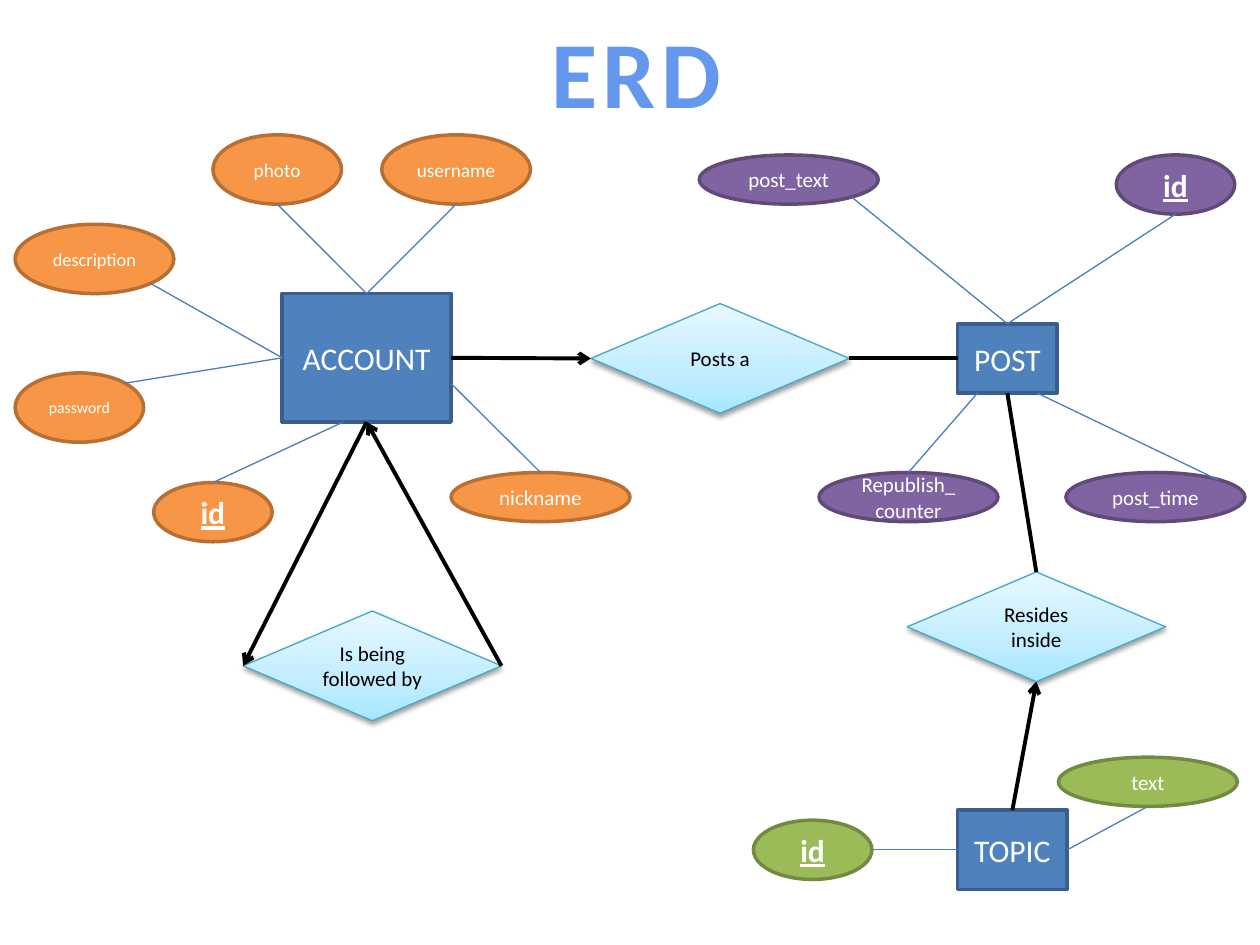
"""Build an entity relationship diagram of accounts, posts and topics."""
from pptx import Presentation
from pptx.dml.color import RGBColor
from pptx.enum.shapes import MSO_CONNECTOR, MSO_SHAPE
from pptx.enum.text import MSO_ANCHOR, PP_ALIGN
from pptx.oxml import parse_xml
from pptx.oxml.ns import nsdecls, qn
from pptx.util import Inches, Pt

THEME = {
    "font": "Calibri",
    "title": ("6398ED", 54),
    "link": ("4B7EBC", 0.75),
    "flow": ("000000", 2.25),
    "gradient": ((0, "A7E6FF"), (35, "C1EDFF"), (100, "E7F8FF")),
    "entity": (MSO_SHAPE.RECTANGLE, "4F81BD", "3A5F8C", 2, "FFFFFF"),
    "account": (MSO_SHAPE.OVAL, "F79646", "B76F34", 2, "FFFFFF"),
    "post": (MSO_SHAPE.OVAL, "8064A2", "5F4A78", 2, "FFFFFF"),
    "topic": (MSO_SHAPE.OVAL, "9BBB59", "738A42", 2, "FFFFFF"),
    "relation": (MSO_SHAPE.FLOWCHART_DECISION, None, "46AAC5", 0.75, "000000"),
}
KEY_SIZE, WIDE_SIZE, RELATION_SIZE = (0.94, 0.47), (1.42, 0.39), (2.05, 0.87)

NODES = [
    ("ACCOUNT", "entity", (2.24, 2.33), (1.34, 1.02), 18),
    ("POST", "entity", (7.6, 2.57), (0.79, 0.55), 18),
    ("TOPIC", "entity", (7.6, 6.43), (0.87, 0.63), 18),
    ("nickname", "account", (3.58, 3.75), WIDE_SIZE, 12),
    ("password", "account", (0.12, 2.96), (1.02, 0.55), 9),
    ("username", "account", (3.03, 1.07), (1.18, 0.55), 11),
    ("photo", "account", (1.69, 1.07), (1.02, 0.55), 11),
    ("description", "account", (0.12, 1.78), (1.26, 0.55), 10.5),
    ("id", "account", (1.22, 3.83), KEY_SIZE, 18),
    ("id", "post", (8.86, 1.23), KEY_SIZE, 18),
    ("post_text", "post", (5.55, 1.23), WIDE_SIZE, 12),
    ("post_time", "post", (8.46, 3.75), WIDE_SIZE, 12),
    ("Republish_counter", "post", (6.5, 3.75), WIDE_SIZE, 12),
    ("id", "topic", (5.98, 6.51), KEY_SIZE, 18),
    ("text", "topic", (8.4, 6.01), WIDE_SIZE, 12),
    ("Is being followed by", "relation", (1.93, 4.85), RELATION_SIZE, 12),
    ("Posts a", "relation", (4.69, 2.41), RELATION_SIZE, 12),
    ("Resides inside", "relation", (7.2, 4.54), RELATION_SIZE, 12),
]

TOP, LEFT, BOTTOM, RIGHT = SIDES = [(0.5, 0), (0, 0.5), (0.5, 1), (1, 0.5)]
UPPER_RIGHT, LOWER_RIGHT = (0.85, 0.15), (0.85, 0.85)
LINKS = [
    ("photo", "account", BOTTOM, "ACCOUNT", TOP),
    ("username", "account", BOTTOM, "ACCOUNT", TOP),
    ("description", "account", LOWER_RIGHT, "ACCOUNT", LEFT),
    ("password", "account", UPPER_RIGHT, "ACCOUNT", LEFT),
    ("id", "account", TOP, "ACCOUNT", (0.36, 1)),
    ("nickname", "account", TOP, "ACCOUNT", (1, 0.7)),
    ("post_text", "post", LOWER_RIGHT, "POST", TOP),
    ("id", "post", BOTTOM, "POST", TOP),
    ("post_time", "post", UPPER_RIGHT, "POST", (0.8, 1)),
    ("Republish_counter", "post", TOP, "POST", (0.2, 1)),
    ("id", "topic", RIGHT, "TOPIC", LEFT),
    ("text", "topic", BOTTOM, "TOPIC", RIGHT),
]
FLOWS = [
    ("ACCOUNT", "entity", RIGHT, "Posts a", "relation", LEFT, True),
    ("POST", "entity", LEFT, "Posts a", "relation", RIGHT, False),
    ("TOPIC", "entity", TOP, "Resides inside", "relation", BOTTOM, True),
    ("POST", "entity", BOTTOM, "Resides inside", "relation", TOP, False),
    ("ACCOUNT", "entity", BOTTOM, "Is being followed by", "relation", LEFT, True),
    ("Is being followed by", "relation", RIGHT, "ACCOUNT", "entity", BOTTOM, True),
]


def format_text(frame, size, color, bold=False, underline=False):
    frame.vertical_anchor = MSO_ANCHOR.MIDDLE
    for paragraph in frame.paragraphs:
        paragraph.alignment = PP_ALIGN.CENTER
        for span in paragraph.runs:
            font = span.font
            font.name, font.size = THEME["font"], Pt(size)
            font.bold, font.underline = bold, underline
            font.color.rgb = RGBColor.from_string(color)


def style_relation(shape):
    stops = "".join(
        f'<a:gs pos="{position * 1000}"><a:srgbClr val="{color}"/></a:gs>'
        for position, color in THEME["gradient"]
    )
    properties = shape._element.spPr
    shape.fill.background()
    properties.replace(properties.find(qn("a:noFill")), parse_xml(
        f'<a:gradFill {nsdecls("a")} rotWithShape="1"><a:gsLst>{stops}</a:gsLst>'
        '<a:lin ang="16200000" scaled="0"/></a:gradFill>'))
    properties.find(qn("a:effectLst")).append(parse_xml(
        f'<a:outerShdw {nsdecls("a")} blurRad="{Pt(3.1)}" dist="{Pt(1.6)}" '
        'dir="5400000" rotWithShape="0"><a:srgbClr val="000000">'
        '<a:alpha val="38000"/></a:srgbClr></a:outerShdw>'))


def add_node(page, text, kind, position, size, text_size):
    preset, fill, outline, weight, color = THEME[kind]
    shape = page.shapes.add_shape(preset, *map(Inches, position + size))
    shape.shadow.inherit = False
    shape.line.color.rgb = RGBColor.from_string(outline)
    shape.line.width = Pt(weight)
    if fill:
        shape.fill.solid()
        shape.fill.fore_color.rgb = RGBColor.from_string(fill)
    else:
        style_relation(shape)
    shape.text_frame.text = text
    shape.text_frame.word_wrap = True
    format_text(shape.text_frame, text_size, color, text == "id", text == "id")
    return shape


def point_on(shape, anchor):
    return (int(shape.left + shape.width * anchor[0]),
            int(shape.top + shape.height * anchor[1]))


def add_line(page, start, start_anchor, end, end_anchor, style, arrow=False):
    line = page.shapes.add_connector(
        MSO_CONNECTOR.STRAIGHT, *point_on(start, start_anchor), *point_on(end, end_anchor))
    ends = ((start, start_anchor, line.begin_connect), (end, end_anchor, line.end_connect))
    for shape, anchor, connect in ends:
        if shape.auto_shape_type != MSO_SHAPE.OVAL and anchor in SIDES:
            connect(shape, SIDES.index(anchor))
    color, weight = THEME[style]
    line.line.color.rgb = RGBColor.from_string(color)
    line.line.width = Pt(weight)
    if arrow:
        line.line._get_or_add_ln().append(
            parse_xml(f'<a:tailEnd {nsdecls("a")} type="arrow"/>'))
    line._element.spPr.append(parse_xml(f'<a:effectLst {nsdecls("a")}/>'))


def add_title(page):
    title = page.shapes.title
    title.left, title.top, title.width, title.height = map(Inches, (4.25, 0.06, 1.6, 1.01))
    title.text_frame.text = "ERD"
    title.text_frame.word_wrap = False
    color, size = THEME["title"]
    format_text(title.text_frame, size, color, bold=True)
    title.text_frame.paragraphs[0].runs[0].font._element.set("spc", "300")


def main():
    deck = Presentation()
    deck.slide_width, deck.slide_height = Inches(10), Inches(7.5)
    page = deck.slides.add_slide(deck.slide_layouts[5])
    add_title(page)
    shapes = {(node[0], node[1]): add_node(page, *node) for node in NODES}
    for name, group, start_anchor, entity, end_anchor in LINKS:
        add_line(page, shapes[name, group], start_anchor,
                 shapes[entity, "entity"], end_anchor, "link")
    for start, start_kind, start_anchor, end, end_kind, end_anchor, arrow in FLOWS:
        add_line(page, shapes[start, start_kind], start_anchor,
                 shapes[end, end_kind], end_anchor, "flow", arrow)
    deck.save("out.pptx")


if __name__ == "__main__":
    main()
